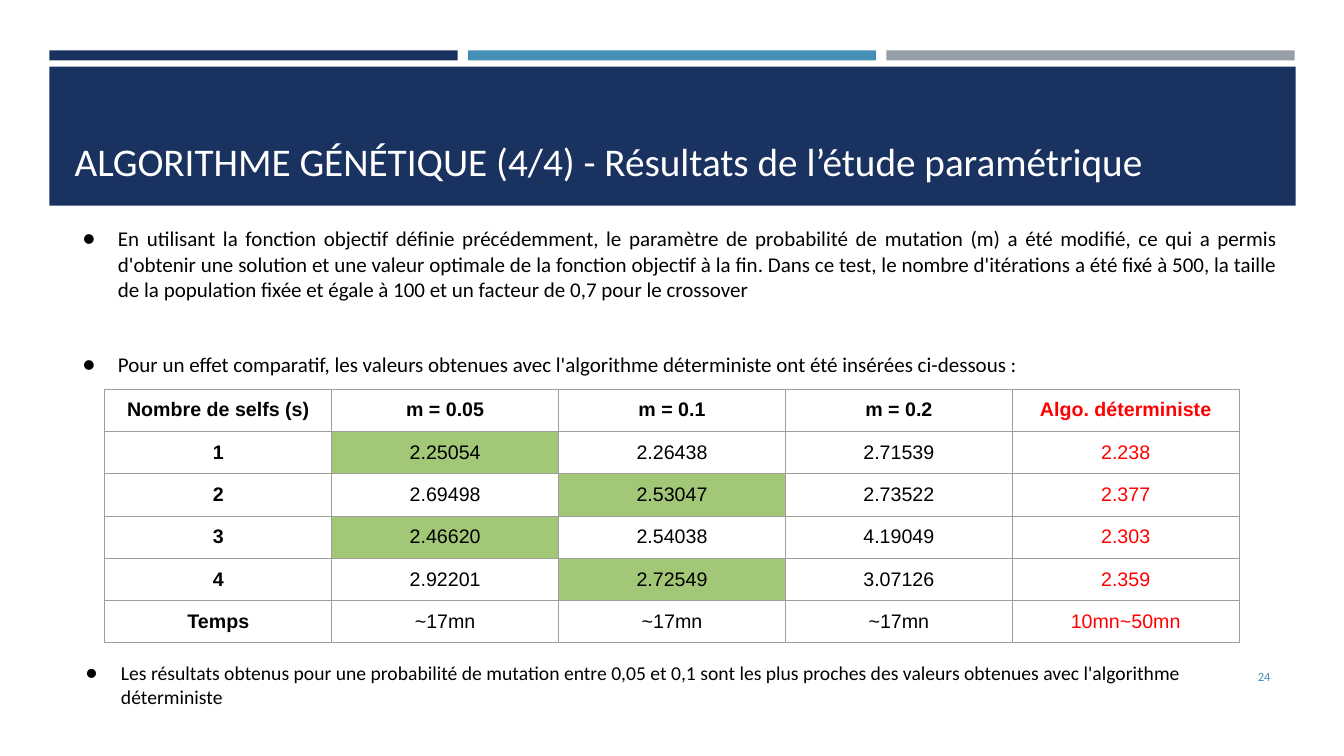
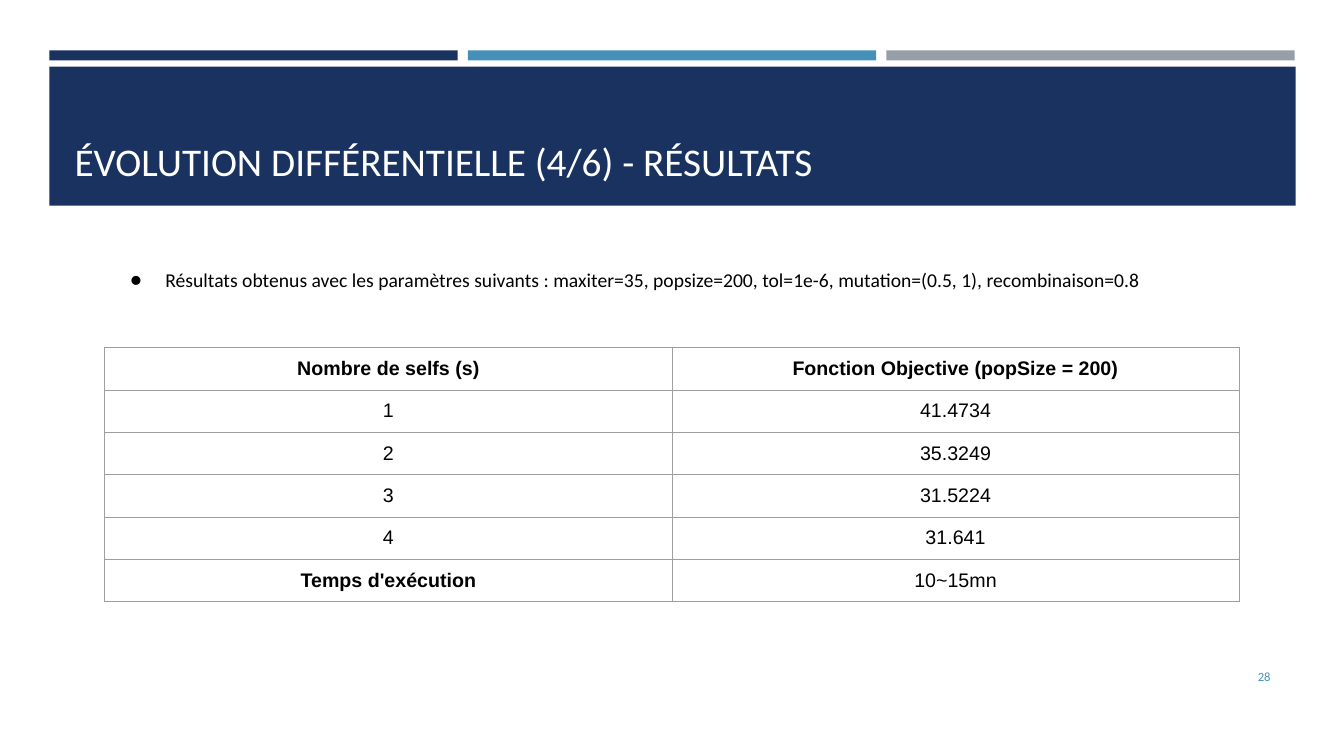
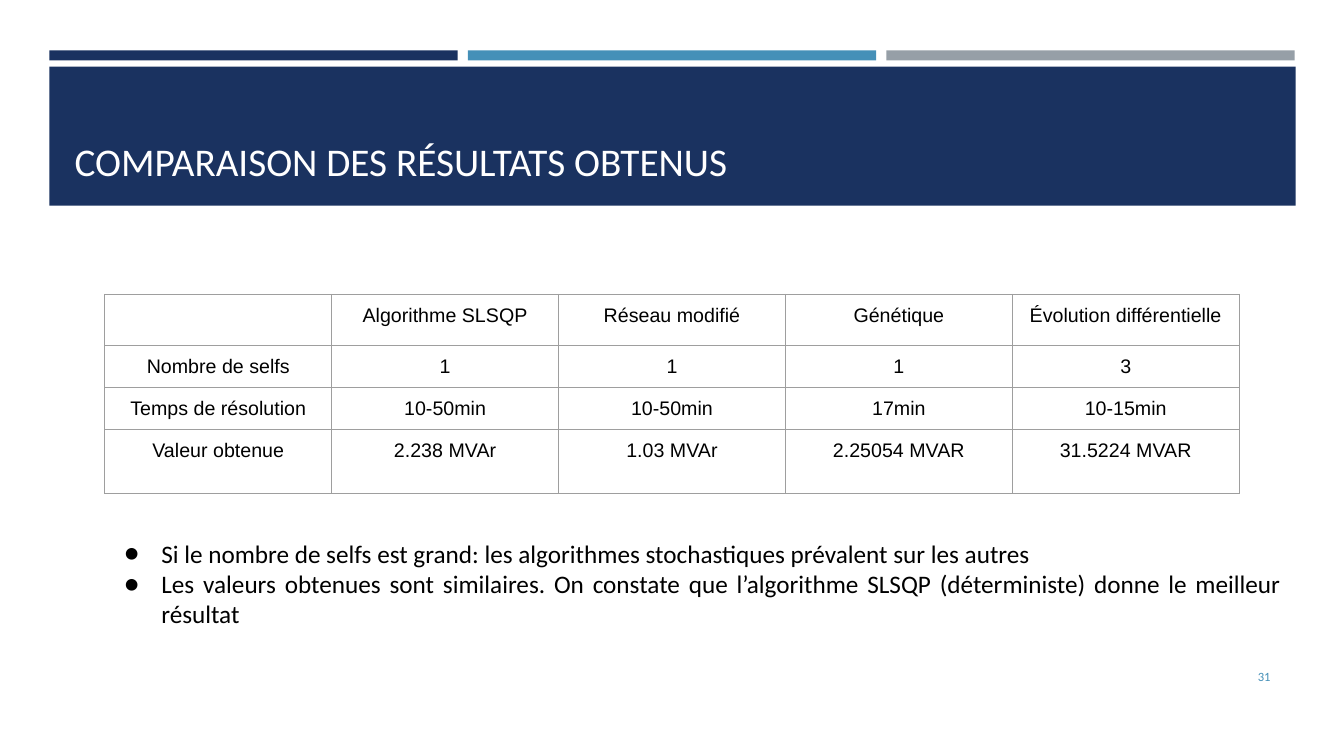
"""Build three slides of optimisation results: lists and tables under a title band."""
from dataclasses import dataclass

from lxml import etree
from pptx import Presentation
from pptx.dml.color import RGBColor
from pptx.enum import shapes, text
from pptx.oxml.ns import qn
from pptx.util import Inches, Pt


@dataclass(frozen=True)
class Theme:
    """Hold the colours, fonts and type sizes of the deck."""
    navy: str = "1A3260"
    blue: str = "4590B8"
    grey: str = "969FA7"
    white: str = "FFFFFF"
    black: str = "000000"
    red: str = "FF0000"
    green: str = "A2C777"
    border: str = "9E9E9E"
    text_font: str = "Calibri"
    table_font: str = "Arial"
    title_size: int = 28
    table_size: int = 14
    number_size: int = 9


T = Theme()
LEFT, CENTER, RIGHT, JUSTIFY = (
    text.PP_ALIGN.LEFT, text.PP_ALIGN.CENTER, text.PP_ALIGN.RIGHT, text.PP_ALIGN.JUSTIFY)
TABLE_LEFT, TABLE_WIDTH, ROW_HEIGHT = 1.04, 11.25, 0.42


def set_attrs(obj, **values):
    """Set each named attribute on an object."""
    for name, value in values.items():
        setattr(obj, name, value)


def place(sp, left, top, width, height):
    """Put a shape at a position given in inches."""
    set_attrs(sp, left=Inches(left), top=Inches(top),
              width=Inches(width), height=Inches(height))


def set_frame(tf, anchor, side=0.1, end=0.1):
    """Set the wrapping, anchor and margins of a text frame."""
    set_attrs(tf, word_wrap=True, auto_size=text.MSO_AUTO_SIZE.NONE, vertical_anchor=anchor,
              margin_left=Inches(side), margin_right=Inches(side),
              margin_top=Inches(end), margin_bottom=Inches(end))


def write(p, words, size, color, font=T.text_font, align=LEFT, bold=False, before=0):
    """Write one formatted run into a paragraph."""
    set_attrs(p, alignment=align, space_before=Pt(before), space_after=Pt(0), line_spacing=1.0)
    r = p.add_run()
    r.text = words
    set_attrs(r.font, size=Pt(size), name=font, bold=bold)
    r.font.color.rgb = RGBColor.from_string(color)


def add_bullet(p, indent):
    """Give a paragraph a round black bullet with a hanging indent."""
    pPr = p._p.get_or_add_pPr()
    pPr.set("marL", str(Inches(0.5)))
    pPr.set("indent", str(-Inches(indent)))
    clr = etree.SubElement(pPr, qn("a:buClr"))
    etree.SubElement(clr, qn("a:srgbClr"), val=T.black)
    etree.SubElement(pPr, qn("a:buFont"), typeface=T.text_font)
    etree.SubElement(pPr, qn("a:buChar"), char="●")


def fill_list(sp, box, items, size, align=JUSTIFY, indent=0.35):
    """Fill a body placeholder with (words, space before) bullet items."""
    place(sp, *box)
    tf = sp.text_frame
    set_frame(tf, text.MSO_ANCHOR.TOP)
    for i, (words, before) in enumerate(items):
        p = tf.add_paragraph() if i else tf.paragraphs[0]
        write(p, words, size, T.black, align=align, before=before)
        add_bullet(p, indent)


def add_bands(prs, s):
    """Draw the bands on a slide, then move them to the back of the master."""
    bands = [(0.49 + 4.15 * i, 0.5, 4.05, 0.1, color)
             for i, color in enumerate((T.navy, T.blue, T.grey))]
    bands.append((0.49, 0.66, 12.36, 1.38, T.navy))
    tree = prs.slide_master.element.cSld.spTree
    for i, (*box, color) in enumerate(bands):
        sp = s.shapes.add_shape(shapes.MSO_SHAPE.RECTANGLE, *map(Inches, box))
        sp.shadow.inherit = False
        sp.fill.solid()
        sp.fill.fore_color.rgb = RGBColor.from_string(color)
        sp.line.fill.background()
        sp.element.nvSpPr.cNvPr.set("id", str(100 + i))
        tree.insert(2 + i, sp.element)


def add_slide(prs, layout, title, number):
    """Add a slide with its title and slide number."""
    s = prs.slides.add_slide(prs.slide_layouts[layout])
    sp = s.shapes.title
    place(sp, 0.64, 0.8, 12.06, 1.08)
    set_frame(sp.text_frame, text.MSO_ANCHOR.BOTTOM, end=0.05)
    write(sp.text_frame.paragraphs[0], title, T.title_size, T.white)
    sp = s.shapes.add_textbox(*map(Inches, (11.55, 6.51, 1.15, 0.4)))
    set_frame(sp.text_frame, text.MSO_ANCHOR.MIDDLE, end=0.05)
    write(sp.text_frame.paragraphs[0], number, T.number_size, T.blue, align=RIGHT)
    return s


def set_borders(cell):
    """Draw a thin line on the four sides of a cell."""
    tcPr = cell._tc.get_or_add_tcPr()
    for side in ("a:lnL", "a:lnR", "a:lnT", "a:lnB"):
        ln = etree.SubElement(tcPr, qn(side), w=str(Pt(0.75)))
        fill = etree.SubElement(ln, qn("a:solidFill"))
        etree.SubElement(fill, qn("a:srgbClr"), val=T.border)


def add_table(s, top, rows, heights=None, bold=(), green=(), red_col=None):
    """Add a bordered table; bold and green hold (row, column) pairs."""
    n_rows, n_cols = len(rows), len(rows[0])
    heights = heights or [ROW_HEIGHT] * n_rows
    box = (TABLE_LEFT, top, TABLE_WIDTH, sum(heights))
    tbl = s.shapes.add_table(n_rows, n_cols, *map(Inches, box)).table
    set_attrs(tbl, first_row=False, horz_banding=False)
    for row, height in zip(tbl.rows, heights):
        row.height = Inches(height)
    for r, row in enumerate(rows):
        for c, words in enumerate(row):
            cell = tbl.cell(r, c)
            set_attrs(cell, **{f"margin_{side}": Inches(0.1)
                               for side in ("left", "right", "top", "bottom")})
            set_borders(cell)
            if (r, c) in green:
                cell.fill.solid()
                cell.fill.fore_color.rgb = RGBColor.from_string(T.green)
            else:
                cell.fill.background()
            if words:
                write(cell.text_frame.paragraphs[0], words, T.table_size,
                      T.red if c == red_col else T.black, T.table_font, CENTER, (r, c) in bold)


def genetic_slide(prs):
    """Build the parametric study of the genetic algorithm."""
    s = add_slide(prs, 3, "ALGORITHME GÉNÉTIQUE (4/4) - Résultats de l’étude paramétrique", "24")
    rows = [
        ("Nombre de selfs (s)", "m = 0.05", "m = 0.1", "m = 0.2", "Algo. déterministe"),
        ("1", "2.25054", "2.26438", "2.71539", "2.238"),
        ("2", "2.69498", "2.53047", "2.73522", "2.377"),
        ("3", "2.46620", "2.54038", "4.19049", "2.303"),
        ("4", "2.92201", "2.72549", "3.07126", "2.359"),
        ("Temps", "~17mn", "~17mn", "~17mn", "10mn~50mn"),
    ]
    bold = {(0, c) for c in range(5)} | {(r, 0) for r in range(6)}
    add_table(s, 3.86, rows, bold=bold, green={(1, 1), (2, 2), (3, 1), (4, 2)}, red_col=4)
    fill_list(s.placeholders[1], (0.57, 2.14, 12.2, 1.72), [
        ("En utilisant la fonction objectif définie précédemment, le paramètre de probabilité de "
         "mutation (m) a été modifié, ce qui a permis d'obtenir une solution et une valeur "
         "optimale de la fonction objectif à la fin. Dans ce test, le nombre d'itérations a été "
         "fixé à 500, la taille de la population fixée et égale à 100 et un facteur de 0,7 pour "
         "le crossover", 0),
        ("Pour un effet comparatif, les valeurs obtenues avec l'algorithme déterministe ont été "
         "insérées ci-dessous :", 36),
    ], 15)
    fill_list(s.placeholders[2], (0.6, 6.46, 12.13, 0.67), [
        ("Les résultats obtenus pour une probabilité de mutation entre 0,05 et 0,1 sont les plus "
         "proches des valeurs obtenues avec l'algorithme déterministe", 0),
    ], 14, align=LEFT)
    return s


def evolution_slide(prs):
    """Build the results of differential evolution."""
    s = add_slide(prs, 1, "ÉVOLUTION DIFFÉRENTIELLE (4/6) - RÉSULTATS", "28")
    rows = [
        ("Nombre de selfs (s)", "Fonction Objective (popSize = 200)"),
        ("1", "41.4734"),
        ("2", "35.3249"),
        ("3", "31.5224"),
        ("4", "31.641"),
        ("Temps d'exécution", "10~15mn"),
    ]
    add_table(s, 3.45, rows, bold={(0, 0), (0, 1), (5, 0)})
    fill_list(s.placeholders[1], (1.04, 2.56, 11.25, 0.44), [
        ("Résultats obtenus avec les paramètres suivants : maxiter=35, popsize=200, tol=1e-6, "
         "mutation=(0.5, 1), recombinaison=0.8", 0),
    ], 14)


def comparison_slide(prs):
    """Build the comparison of the four methods."""
    s = add_slide(prs, 1, "COMPARAISON DES RÉSULTATS OBTENUS", "31")
    rows = [
        ("", "Algorithme SLSQP", "Réseau modifié", "Génétique", "Évolution différentielle"),
        ("Nombre de selfs", "1", "1", "1", "3"),
        ("Temps de résolution", "10-50min", "10-50min", "17min", "10-15min"),
        ("Valeur obtenue", "2.238 MVAr", "1.03 MVAr", "2.25054 MVAR", "31.5224 MVAR"),
    ]
    add_table(s, 2.92, rows, heights=[0.48, ROW_HEIGHT, ROW_HEIGHT, 0.63])
    fill_list(s.placeholders[1], (1, 5.24, 11.81, 1.11), [
        ("Si le nombre de selfs est grand: les algorithmes stochastiques prévalent sur les "
         "autres", 3.6),
        ("Les valeurs obtenues sont similaires. On constate que l’algorithme SLSQP "
         "(déterministe) donne le meilleur résultat", 0),
    ], 18, indent=0.37)


def main():
    """Build and save the deck."""
    prs = Presentation()
    set_attrs(prs, slide_width=Inches(13.33), slide_height=Inches(7.5))
    add_bands(prs, genetic_slide(prs))
    evolution_slide(prs)
    comparison_slide(prs)
    prs.save("out.pptx")


if __name__ == "__main__":
    main()
